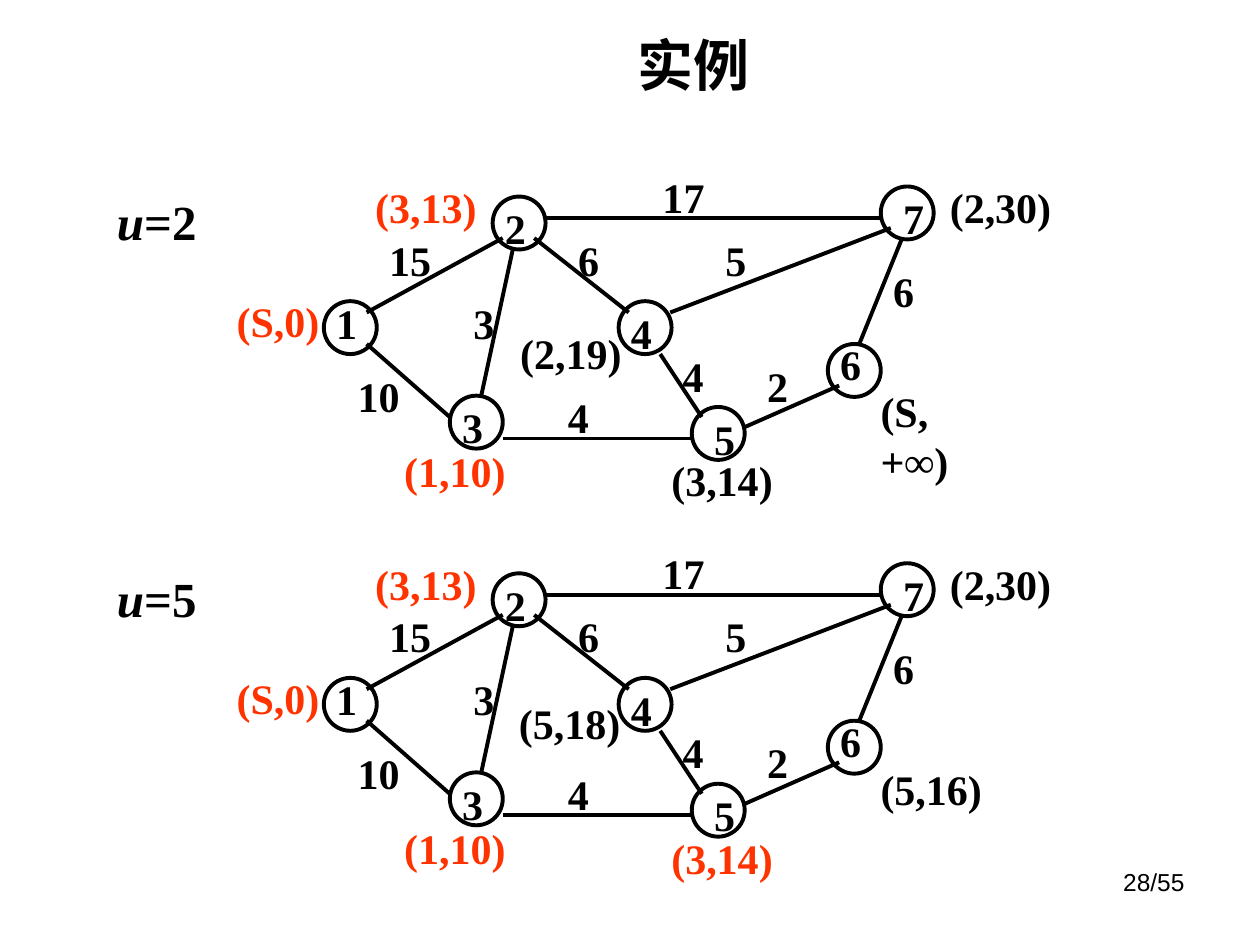
from lxml.etree import SubElement
from pptx import Presentation
from pptx.dml.color import RGBColor
from pptx.enum.shapes import MSO_CONNECTOR, MSO_SHAPE
from pptx.enum.text import MSO_ANCHOR, PP_ALIGN
from pptx.oxml.ns import qn
from pptx.util import Inches, Pt

BLACK, RED = "000000", "FF3300"


def color(value):
    return RGBColor.from_string(value)


def add_text(box, runs, fill=BLACK, align=PP_ALIGN.LEFT, **font):
    """Add a one-paragraph text box; runs holds (text, italic) pairs."""
    sp = s.shapes.add_textbox(*map(Inches, box))
    tf = sp.text_frame
    tf.word_wrap = True
    p = tf.paragraphs[0]
    p.alignment = align
    for text, italic in runs:
        r = p.add_run()
        r.text = text
        formats = {"name": "Times New Roman", "size": Pt(24), "bold": True, "italic": italic}
        for key, value in (formats | font).items():
            setattr(r.font, key, value)
        r.font.color.rgb = color(fill)
    return tf


prs = Presentation()
prs.slide_width, prs.slide_height = Inches(10), Inches(7.5)
s = prs.slides.add_slide(prs.slide_layouts[6])

tf = add_text((2.16, 0.28, 6.69, 0.46), [("实例", False)], align=PP_ALIGN.CENTER, size=Pt(32))
tf.vertical_anchor = MSO_ANCHOR.MIDDLE

# number: circle left, top, number left, top
nodes = {
    "1": (2.57, 2.39, 2.57, 2.31),
    "2": (3.91, 1.56, 3.91, 1.56),
    "3": (3.57, 3.14, 3.57, 3.14),
    "4": (4.91, 2.39, 4.91, 2.39),
    "5": (5.49, 3.23, 5.57, 3.23),
    "6": (6.57, 2.73, 6.57, 2.64),
    "7": (6.99, 1.48, 7.07, 1.48),
}
# start x, y, end x, y, weight, weight left, top
edges = [
    (2.91, 2.48, 3.99, 1.89, "15", 2.99, 1.81),
    (2.91, 2.73, 3.57, 3.31, "10", 2.74, 2.89),
    (4.07, 1.98, 3.82, 3.14, "3", 3.66, 2.31),
    (4.32, 1.73, 6.99, 1.73, "17", 5.16, 1.31),
    (4.24, 1.89, 4.99, 2.48, "6", 4.49, 1.81),
    (5.32, 2.48, 7.07, 1.81, "5", 5.66, 1.81),
    (5.24, 2.81, 5.57, 3.31, "4", 5.32, 2.73),
    (3.99, 3.48, 5.49, 3.48, "4", 4.41, 3.06),
    (5.91, 3.39, 6.66, 3.06, "2", 5.99, 2.81),
    (7.16, 1.89, 6.82, 2.73, "6", 6.99, 2.06),
]
# left, top, text, colour
shared_labels = [
    (1.78, 2.3, "(S,0)", RED),
    (2.88, 1.39, "(3,13)", RED),
    (3.11, 3.49, "(1,10)", RED),
    (7.44, 1.39, "(2,30)", BLACK),
]
# u, vertical offset, labels that change with u
steps = [
    ("2", 0, [(4.03, 2.55, "(2,19)", BLACK), (5.23, 3.56, "(3,14)", BLACK),
              (6.89, 3.01, "(S, +∞)", BLACK)]),
    ("5", 2.99, [(4.02, 2.5, "(5,18)", BLACK), (5.23, 3.57, "(3,14)", RED),
                 (6.89, 3.02, "(5,16)", BLACK)]),
]

for u, dy, step_labels in steps:
    for x, y, _, _ in nodes.values():
        sp = s.shapes.add_shape(MSO_SHAPE.OVAL, Inches(x), Inches(y + dy), Inches(0.42), Inches(0.42))
        sp.shadow.inherit = False
        sp.fill.background()
        sp.line.color.rgb = color(BLACK)
        sp.line.width = Pt(2.25)
    for x1, y1, x2, y2, weight, x, y in edges:
        line = s.shapes.add_connector(MSO_CONNECTOR.STRAIGHT, Inches(x1), Inches(y1 + dy),
                                      Inches(x2), Inches(y2 + dy))
        line.line.color.rgb = color(BLACK)
        line.line.width = Pt(2.25)
        SubElement(line._element.spPr, qn("a:effectLst"))
        add_text((x, y + dy, 0.67, 0.5), [(weight, False)])
    for number, (_, _, x, y) in nodes.items():
        add_text((x, y + dy, 0.33, 0.5), [(number, False)])
    for x, y, label, fill in shared_labels + step_labels:
        add_text((x, y + dy, 1.1, 0.5), [(label, False)], fill)
    add_text((0.83, 1.47 + dy, 1.02, 0.57), [("u", True), (f"={u}", False)], size=Pt(28))

add_text((7.17, 6.83, 2.33, 0.52), [("28/55", False)], align=PP_ALIGN.RIGHT,
         name="Arial", size=Pt(14), bold=False)

prs.save("out.pptx")
